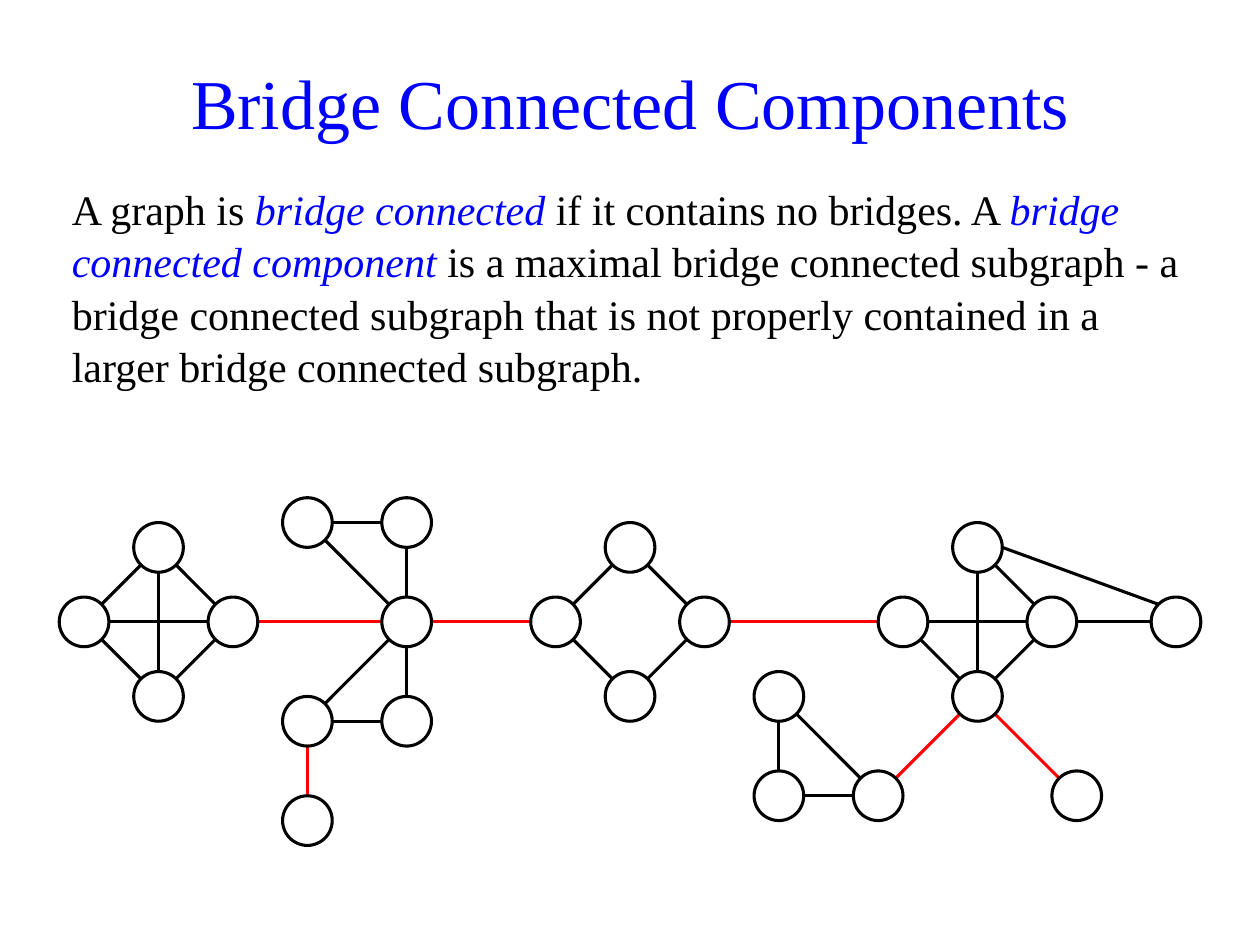
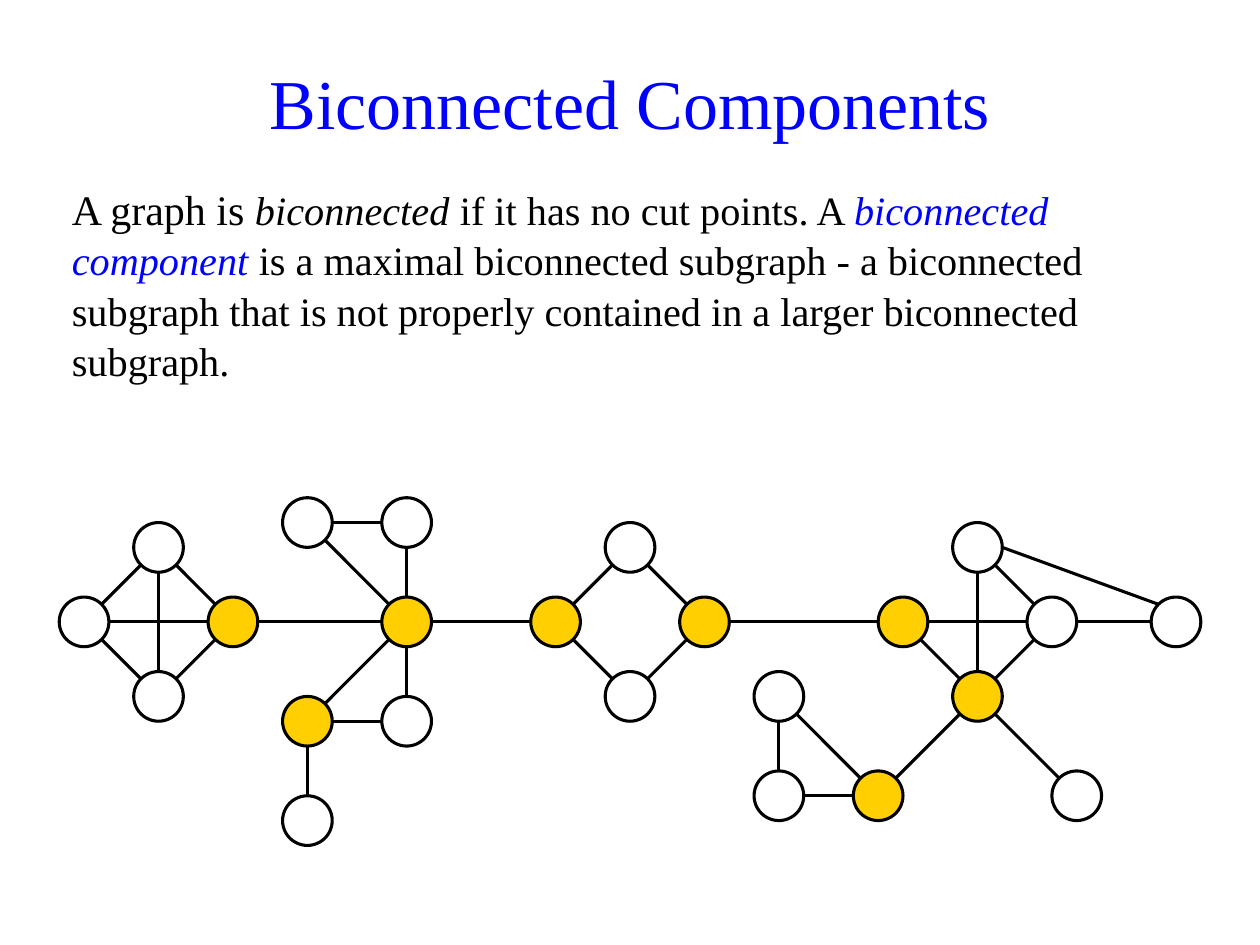
from math import atan2, ceil, cos, floor, pi, sin

from lxml.etree import SubElement
from pptx import Presentation
from pptx.dml.color import RGBColor
from pptx.enum.shapes import MSO_CONNECTOR, MSO_SHAPE
from pptx.enum.text import MSO_ANCHOR, MSO_AUTO_SIZE, PP_ALIGN
from pptx.oxml.ns import qn
from pptx.util import Inches, Pt

BLACK = RGBColor(0, 0, 0)
WHITE = RGBColor(255, 255, 255)
BLUE = RGBColor(0, 0, 255)
RED = RGBColor(255, 0, 0)
GOLD = RGBColor(255, 207, 1)

FONT = "Times New Roman"
LINE_WIDTH = Pt(1.75)
TITLE_BOX = (Inches(0.47), Inches(0.21), Inches(9.06), Inches(0.98))
BODY_BOX = (Inches(0.47), Inches(1.39), Inches(9.06), Inches(1.77))
GRAPH_BOX = (Inches(0.47), Inches(3.95), Inches(9.06), Inches(2.76))
GRID_COLUMNS, GRID_ROWS = 46, 14

NODES = {
    "kite left": (1, 5), "kite top": (4, 2), "kite right": (7, 5), "kite bottom": (4, 8),
    "hub": (14, 5), "upper left": (10, 1), "upper right": (14, 1),
    "lower left": (10, 9), "lower right": (14, 9), "pendant": (10, 13),
    "ring left": (20, 5), "ring top": (23, 2), "ring right": (26, 5), "ring bottom": (23, 8),
    "fan left": (34, 5), "fan top": (37, 2), "fan right": (40, 5), "fan bottom": (37, 8),
    "fan far": (45, 5), "leaf": (41, 12),
    "triangle top": (29, 8), "triangle left": (29, 12), "triangle right": (33, 12),
}
BRIDGES = [
    ("kite right", "hub"), ("hub", "ring left"), ("ring right", "fan left"),
    ("lower left", "pendant"), ("triangle right", "fan bottom"), ("fan bottom", "leaf"),
]
CYCLE_EDGES = [
    ("kite left", "kite top"), ("kite top", "kite right"), ("kite left", "kite bottom"),
    ("kite bottom", "kite right"), ("kite left", "kite right"), ("kite top", "kite bottom"),
    ("upper left", "upper right"), ("upper right", "hub"), ("upper left", "hub"),
    ("lower left", "lower right"), ("lower right", "hub"), ("lower left", "hub"),
    ("ring left", "ring top"), ("ring top", "ring right"),
    ("ring left", "ring bottom"), ("ring bottom", "ring right"),
    ("fan top", "fan right"), ("fan left", "fan bottom"), ("fan bottom", "fan right"),
    ("fan left", "fan right"), ("fan top", "fan bottom"),
    ("fan top", "fan far"), ("fan right", "fan far"),
    ("triangle top", "triangle left"), ("triangle left", "triangle right"),
    ("triangle top", "triangle right"),
]
CUT_POINTS = {
    "kite right", "hub", "lower left", "ring left", "ring right",
    "fan left", "fan bottom", "triangle right",
}


def place(shape, box):
    """Move a placeholder into its box."""
    shape.left, shape.top, shape.width, shape.height = box
    shape.text_frame.auto_size = MSO_AUTO_SIZE.NONE
    shape.text_frame.word_wrap = True


def add_title(slide, text, box):
    """Fill the title placeholder."""
    title = slide.shapes.title
    place(title, box)
    title.text_frame.vertical_anchor = MSO_ANCHOR.BOTTOM
    title.text_frame.text = text
    paragraph = title.text_frame.paragraphs[0]
    paragraph.alignment = PP_ALIGN.CENTER
    paragraph.font.name = FONT
    paragraph.font.size = Pt(40)
    paragraph.font.color.rgb = BLUE


def add_definition(slide, runs, box):
    """Fill the body placeholder with runs of text, size, colour and italics."""
    body = slide.placeholders[1]
    place(body, box)
    paragraph = body.text_frame.paragraphs[0]
    properties = paragraph._p.get_or_add_pPr()
    properties.set("marL", "0")
    properties.set("indent", "0")
    SubElement(properties, qn("a:buNone"))
    paragraph.space_before = Pt(0)
    paragraph.line_spacing = 1.04
    paragraph.font.name = FONT
    for text, size, color, italic in runs:
        run = paragraph.add_run()
        run.text = text
        run.font.size = Pt(size)
        run.font.color.rgb = color
        run.font.italic = italic


def rim_point(node, angle, snap):
    """Return the grid point on a node's rim, snapped to one of eight ports."""
    column, row = NODES[node]
    port = snap(round(angle / (pi / 4), 6)) * pi / 4
    return column + cos(port), row + sin(port)


def add_graph(slide, box, bridge_color, cut_point_fill):
    """Draw the graph on a grid whose unit is the node radius."""
    left, top, width, height = box
    unit_x, unit_y = width / GRID_COLUMNS, height / GRID_ROWS

    def locate(column, row):
        return round(left + column * unit_x), round(top + row * unit_y)

    for edges, color in ((CYCLE_EDGES, BLACK), (BRIDGES, bridge_color)):
        for start, end in edges:
            (start_x, start_y), (end_x, end_y) = NODES[start], NODES[end]
            angle = atan2(end_y - start_y, end_x - start_x)
            edge = slide.shapes.add_connector(
                MSO_CONNECTOR.STRAIGHT,
                *locate(*rim_point(start, angle, floor)),
                *locate(*rim_point(end, angle + pi, ceil)),
            )
            edge.line.color.rgb = color
            edge.line.width = LINE_WIDTH
            SubElement(edge._element.spPr, qn("a:effectLst"))

    for name, (column, row) in NODES.items():
        node = slide.shapes.add_shape(
            MSO_SHAPE.OVAL, *locate(column - 1, row - 1), round(2 * unit_x), round(2 * unit_y)
        )
        node.shadow.inherit = False
        node.fill.solid()
        node.fill.fore_color.rgb = cut_point_fill if name in CUT_POINTS else WHITE
        node.line.color.rgb = BLACK
        node.line.width = LINE_WIDTH


def add_graph_slide(presentation, title, runs, bridge_color, cut_point_fill):
    """Add a slide with a title, a definition and the graph."""
    slide = presentation.slides.add_slide(presentation.slide_layouts[1])
    add_title(slide, title, TITLE_BOX)
    add_definition(slide, runs, BODY_BOX)
    add_graph(slide, GRAPH_BOX, bridge_color, cut_point_fill)


def main():
    """Build both slides and save them."""
    presentation = Presentation()
    presentation.slide_width = Inches(10)
    presentation.slide_height = Inches(7.5)
    add_graph_slide(
        presentation,
        "Bridge Connected Components",
        [
            ("A graph is ", 24, BLACK, False),
            ("bridge connected", 24, BLUE, True),
            (" if it contains no bridges. A ", 24, BLACK, False),
            ("bridge connected component", 24, BLUE, True),
            (" is a maximal bridge connected subgraph - a bridge connected subgraph that is "
             "not properly contained in a larger bridge connected subgraph.", 24, BLACK, False),
        ],
        RED, WHITE,
    )
    add_graph_slide(
        presentation,
        "Biconnected Components",
        [
            ("A graph is ", 24, BLACK, False),
            ("biconnected", 23, BLACK, True),
            (" if it has no cut points. A ", 23, BLACK, False),
            ("biconnected component", 23, BLUE, True),
            (" is a maximal biconnected subgraph - a biconnected subgraph that is "
             "not properly contained in a larger biconnected subgraph.", 23, BLACK, False),
        ],
        BLACK, GOLD,
    )
    presentation.save("out.pptx")


if __name__ == "__main__":
    main()
